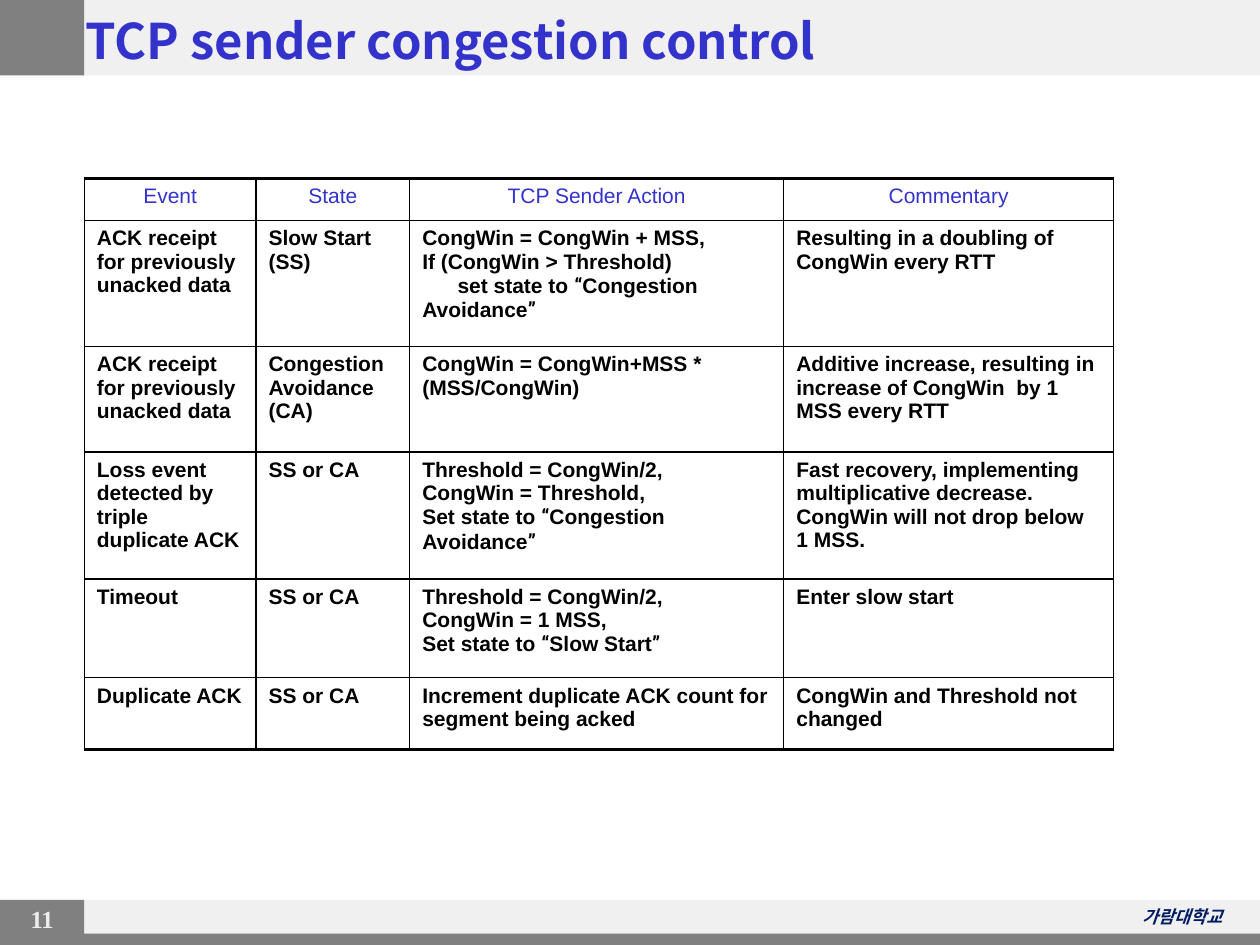
from itertools import groupby

from lxml import etree
from pptx import Presentation
from pptx.dml.color import RGBColor
from pptx.enum.shapes import MSO_SHAPE
from pptx.enum.text import MSO_ANCHOR, PP_ALIGN
from pptx.oxml.ns import qn
from pptx.util import Cm, Pt

LEFT, CENTER, RIGHT = PP_ALIGN.LEFT, PP_ALIGN.CENTER, PP_ALIGN.RIGHT
MIDDLE = MSO_ANCHOR.MIDDLE
RECTANGLE = MSO_SHAPE.RECTANGLE

SLIDE_WIDTH, SLIDE_HEIGHT = 25.4, 19.05
MARGIN_WIDTH = 1.7
LIGHT_GRAY, GRAY, BLUE, BLACK = "F0F0F0", "808080", "3333CC", "000000"
KOREAN_FONT = "Noto Sans CJK KR"
QUOTES = "“”"

COLUMN_WIDTHS = [3.46, 3.1, 7.54, 6.65]
ROW_HEIGHTS = [0.84, 2.54, 2.13, 2.56, 1.99, 1.44]
ROWS = [
    ["Event", "State", "TCP Sender Action", "Commentary"],
    ["ACK receipt for previously unacked data",
     "Slow Start (SS)",
     "CongWin = CongWin + MSS,\nIf (CongWin > Threshold)\n"
     "\tset state to “Congestion Avoidance”",
     "Resulting in a doubling of CongWin every RTT"],
    ["ACK receipt for previously unacked data",
     "Congestion\nAvoidance (CA)",
     "CongWin = CongWin+MSS * (MSS/CongWin)",
     "Additive increase, resulting in increase of CongWin  by 1 MSS every RTT"],
    ["Loss event detected by triple duplicate ACK",
     "SS or CA",
     "Threshold = CongWin/2,\nCongWin = Threshold,\n"
     "Set state to “Congestion Avoidance”",
     "Fast recovery, implementing multiplicative decrease. "
     "CongWin will not drop below 1 MSS."],
    ["Timeout",
     "SS or CA",
     "Threshold = CongWin/2,\nCongWin = 1 MSS,\nSet state to “Slow Start”",
     "Enter slow start"],
    ["Duplicate ACK",
     "SS or CA",
     "Increment duplicate ACK count for segment being acked",
     "CongWin and Threshold not changed"],
]


def color(hex_string):
    return RGBColor.from_string(hex_string)


def format_paragraph(paragraph, name, size, hex_string, alignment, bold=False, italic=False):
    paragraph.alignment = alignment
    font = paragraph.font
    font.name, font.size = name, Pt(size)
    font.bold, font.italic = bold, italic
    font.color.rgb = color(hex_string)


def add_bar(slide, left, top, width, height, hex_string):
    bar = slide.shapes.add_shape(RECTANGLE, Cm(left), Cm(top), Cm(width), Cm(height))
    bar.shadow.inherit = False
    bar.fill.solid()
    bar.fill.fore_color.rgb = color(hex_string)
    bar.line.fill.background()


def add_label(slide, left, top, width, height, text):
    """Add a text box and return its paragraph for formatting."""
    box = slide.shapes.add_textbox(Cm(left), Cm(top), Cm(width), Cm(height))
    box.text_frame.word_wrap = True
    paragraph = box.text_frame.paragraphs[0]
    paragraph.text = text
    return paragraph


def add_band(slide, top, height):
    """Add a light band across the slide with a gray block at its left end."""
    add_bar(slide, 0, top, SLIDE_WIDTH, height, LIGHT_GRAY)
    add_bar(slide, 0, top, MARGIN_WIDTH, height, GRAY)


def add_header(slide, top, height, text):
    add_band(slide, top, height)
    title = slide.shapes.title
    title.left, title.top = Cm(1.47), Cm(top + 0.08)
    title.width, title.height = Cm(21.6), Cm(height - 0.08)
    title.element.getparent().append(title.element)  # in front of the band
    frame = title.text_frame
    frame.text = text
    frame.word_wrap = True
    frame.vertical_anchor = MIDDLE
    format_paragraph(frame.paragraphs[0], KOREAN_FONT, 28, BLUE, LEFT, bold=True)


def add_footer(slide, top, height, number, school):
    add_band(slide, top, height)
    number_paragraph = add_label(slide, 0.1, top - 0.05, 1.5, 0.84, number)
    format_paragraph(number_paragraph, "Times New Roman", 14, "EEEEEE", CENTER, bold=True)
    school_paragraph = add_label(slide, 20.7, top, 4.2, 0.69, school)
    format_paragraph(school_paragraph, KOREAN_FONT, 10, "011C61", RIGHT, bold=True, italic=True)
    run_properties = school_paragraph.runs[0].font
    run_properties.name = KOREAN_FONT
    latin = school_paragraph.runs[0]._r.find(".//" + qn("a:latin"))
    latin.addnext(etree.Element(qn("a:ea"), typeface=KOREAN_FONT))
    add_bar(slide, 0, top + 0.68, SLIDE_WIDTH, height - 0.68, GRAY)


def set_borders(cell, top, bottom, side=0.75):
    properties = cell._tc.get_or_add_tcPr()
    for tag, width in (("lnL", side), ("lnR", side), ("lnT", top), ("lnB", bottom)):
        line = etree.SubElement(properties, qn("a:" + tag), w=str(Pt(width)))
        fill = etree.SubElement(line, qn("a:solidFill"))
        etree.SubElement(fill, qn("a:srgbClr"), val=BLACK)


def fill_cell(cell, text, is_header):
    """Write one paragraph per line; a leading tab marks an indented line."""
    frame = cell.text_frame
    for index, line in enumerate(text.split("\n")):
        paragraph = frame.add_paragraph() if index else frame.paragraphs[0]
        if is_header:
            format_paragraph(paragraph, "Arial", 12, BLUE, CENTER)
        else:
            format_paragraph(paragraph, "Arial", 12, BLACK, LEFT, bold=True)
        if line.startswith("\t"):
            paragraph._p.get_or_add_pPr().set("indent", str(Cm(0.71)))
        for is_quote, letters in groupby(line.strip(), lambda letter: letter in QUOTES):
            run = paragraph.add_run()
            run.text = "".join(letters)
            if is_quote:
                run.font.name = "Roboto Condensed"


def add_event_table(slide, left, top):
    frame = slide.shapes.add_table(
        len(ROWS), len(COLUMN_WIDTHS), Cm(left), Cm(top),
        Cm(sum(COLUMN_WIDTHS)), Cm(sum(ROW_HEIGHTS)))
    table = frame.table
    table.first_row = table.horz_banding = False
    for column, width in zip(table.columns, COLUMN_WIDTHS):
        column.width = Cm(width)
    last = len(ROWS) - 1
    for row_index, (row, height, texts) in enumerate(zip(table.rows, ROW_HEIGHTS, ROWS)):
        row.height = Cm(height)
        for cell, text in zip(row.cells, texts):
            set_borders(cell, 2 if row_index == 0 else 1, 2 if row_index == last else 1)
            cell.fill.background()
            fill_cell(cell, text, row_index == 0)


def main():
    presentation = Presentation()
    presentation.slide_width, presentation.slide_height = Cm(SLIDE_WIDTH), Cm(SLIDE_HEIGHT)
    slide = presentation.slides.add_slide(presentation.slide_layouts[5])
    add_footer(slide, 18.14, 0.91, "11", "가람대학교")
    add_header(slide, 0, 1.52, "TCP sender congestion control")
    add_event_table(slide, MARGIN_WIDTH, 3.6)
    presentation.save("out.pptx")


if __name__ == "__main__":
    main()
